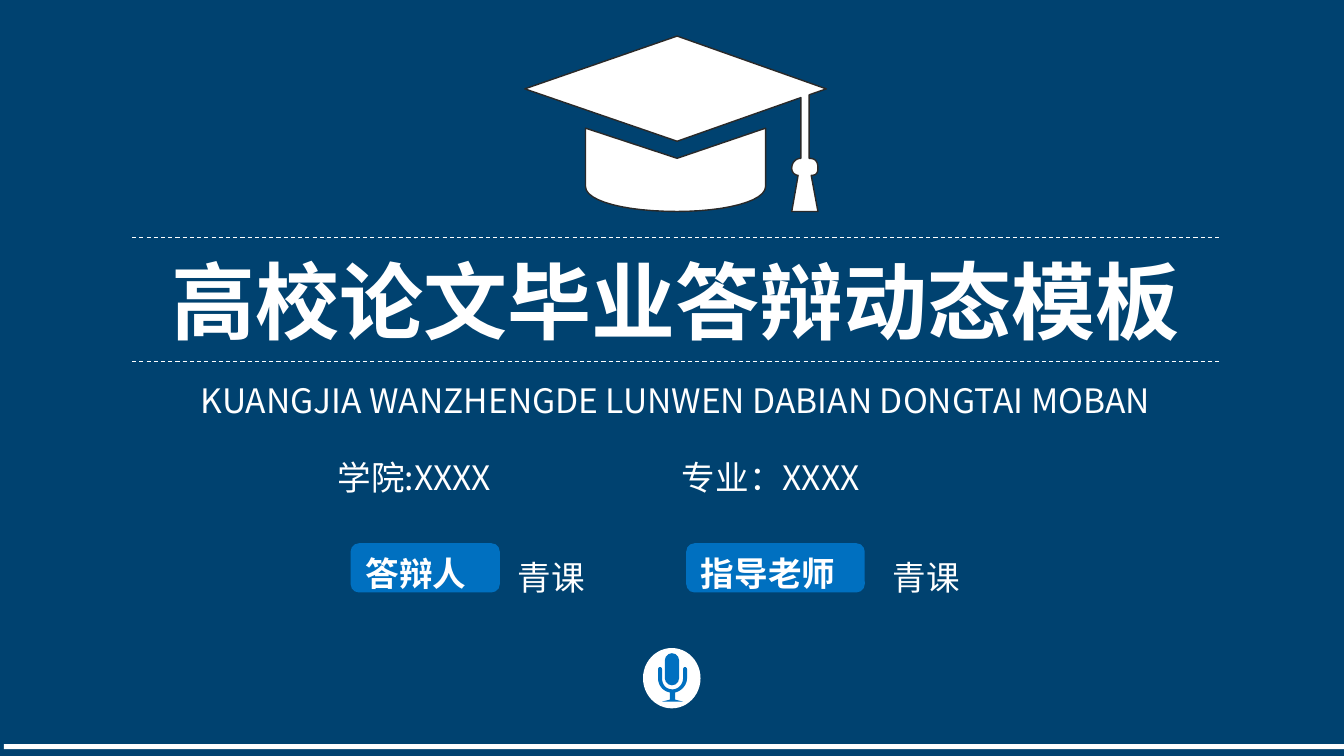
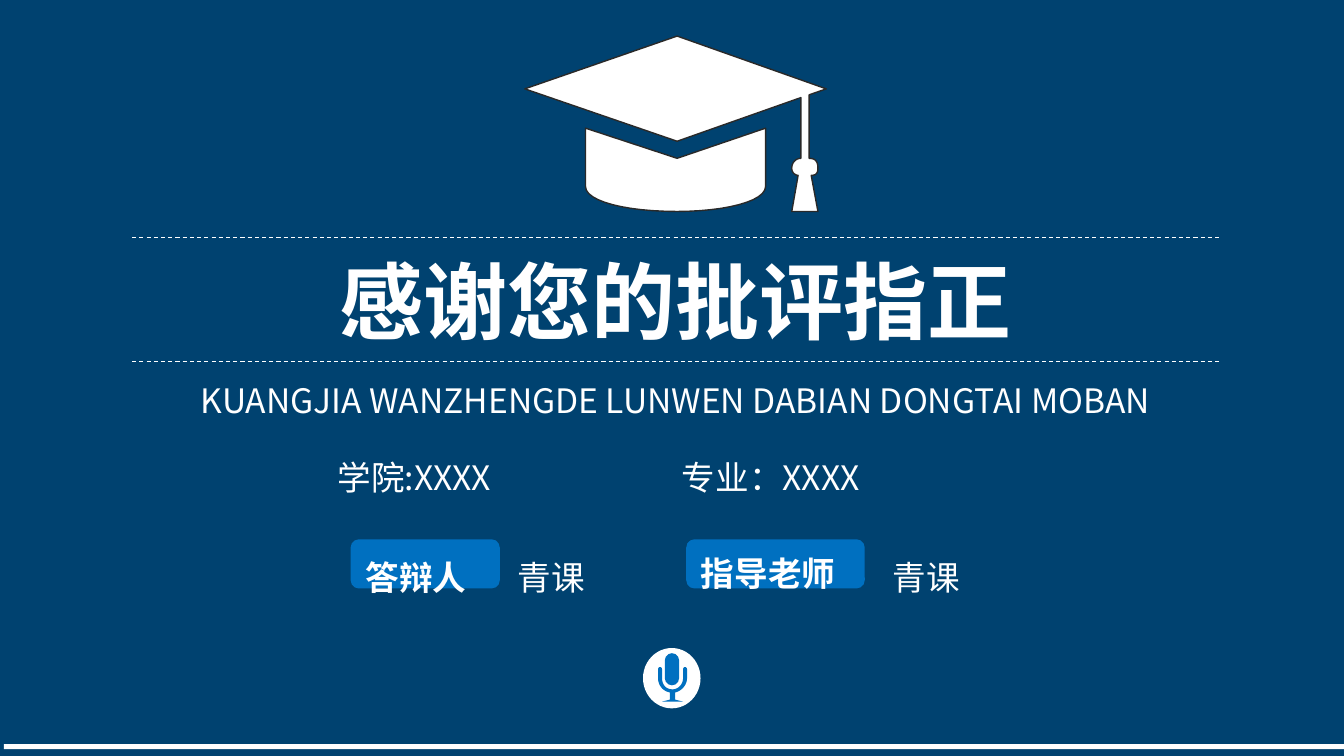
"""Build the cover and closing slides of a thesis defence deck."""
import dataclasses

import pptx
import pptx.dml.color
import pptx.enum.dml
import pptx.enum.shapes
import pptx.enum.text
import pptx.oxml
import pptx.oxml.ns
import pptx.util
from pptx.util import Cm

SHAPE = pptx.enum.shapes.MSO_SHAPE
ALIGN = pptx.enum.text.PP_ALIGN
ANCHOR = pptx.enum.text.MSO_ANCHOR


@dataclasses.dataclass(frozen=True)
class Theme:
    """Colours, font and type sizes of the deck."""
    navy: str = "004270"
    blue: str = "0070C0"
    white: str = "FFFFFF"
    outline: str = "292929"
    font: str = "Noto Sans CJK SC"
    title: int = 60
    body: int = 24
    width: float = 33.88
    height: float = 19.05


THEME = Theme()

CAP_BOARD = [
    (20.62, 4.24), (20.62, 4.09, 20.57, 3.99, 20.4, 3.99), (20.4, 2.39),
    (20.83, 2.24), (17.07, 0.91), (13.23, 2.24), (17.07, 3.56), (20.19, 2.46),
    (20.19, 3.99), (20.07, 3.99, 19.96, 4.09, 19.96, 4.24),
    (19.96, 4.37, 20.07, 4.42, 20.12, 4.42), (19.96, 5.33), (20.62, 5.33),
    (20.45, 4.42), (20.57, 4.42, 20.62, 4.37, 20.62, 4.24),
]
CAP_BASE = [
    (14.76, 3.23), (14.76, 4.7), (14.76, 5.08, 15.8, 5.33, 17.07, 5.33),
    (18.26, 5.33, 19.3, 5.08, 19.3, 4.7), (19.3, 3.23), (17.07, 3.99),
]
MIC_STAND = [
    (17.32, 17.09), (17.32, 16.87), (17.32, 16.79, 17.22, 16.79, 17.22, 16.87),
    (17.22, 17.09), (17.22, 17.25, 17.09, 17.37, 16.97, 17.37), (16.94, 17.37),
    (16.79, 17.37, 16.69, 17.25, 16.69, 17.09), (16.69, 16.87),
    (16.69, 16.79, 16.59, 16.79, 16.59, 16.87), (16.59, 17.09),
    (16.59, 17.27, 16.71, 17.42, 16.89, 17.45), (16.89, 17.63), (16.69, 17.68),
    (17.22, 17.68), (17.02, 17.63), (17.02, 17.45),
    (17.17, 17.42, 17.32, 17.27, 17.32, 17.09),
]


def rgb(value):
    """Return a colour object for a hex string."""
    return pptx.dml.color.RGBColor.from_string(value)


def paint(sp, fill, line=None):
    """Give a shape a flat fill and an optional thin outline."""
    sp.shadow.inherit = False
    sp.fill.solid()
    sp.fill.fore_color.rgb = rgb(fill)
    if line:
        sp.line.color.rgb = rgb(line)
        sp.line.width = pptx.util.Pt(1)
    else:
        sp.line.fill.background()


def add_block(s, kind, x, y, w, h, fill, corner=None):
    """Add a filled preset shape."""
    sp = s.shapes.add_shape(kind, Cm(x), Cm(y), Cm(w), Cm(h))
    paint(sp, fill)
    if corner is not None:
        sp.adjustments[0] = corner


def add_text(s, text, x, y, w, h, *, size=THEME.body, bold=False,
             align=ALIGN.LEFT, anchor=ANCHOR.TOP, spacing=None, grow=False):
    """Add a wrapped one-paragraph text box."""
    tf = s.shapes.add_textbox(Cm(x), Cm(y), Cm(w), Cm(h)).text_frame
    tf.word_wrap = True
    tf.vertical_anchor = anchor
    if grow:
        tf.auto_size = pptx.enum.text.MSO_AUTO_SIZE.SHAPE_TO_FIT_TEXT
    p = tf.paragraphs[0]
    p.alignment = align
    p.line_spacing = spacing
    r = p.add_run()
    r.text = text
    r.font.size = pptx.util.Pt(size)
    r.font.bold = bold
    r.font.color.rgb = rgb(THEME.white)
    r.font.name = THEME.font
    ea = pptx.oxml.parse_xml(
        f'<a:ea {pptx.oxml.ns.nsdecls("a")} typeface="{THEME.font}"/>')
    r.font._element.append(ea)


def add_heading(s, text, y, h, **style):
    """Add a centred line of text across the slide."""
    add_text(s, text, 2.13, y, 29.79, h, align=ALIGN.CENTER,
             anchor=ANCHOR.MIDDLE, **style)


def add_detail(s, text, x, y, w, h=1.63, **style):
    """Add a detail field with open line spacing."""
    add_text(s, text, x, y, w, h, spacing=1.5, grow=True, **style)


def add_dashed_rule(s, y):
    """Add a dashed horizontal rule."""
    rule = s.shapes.add_connector(pptx.enum.shapes.MSO_CONNECTOR.STRAIGHT,
                                  Cm(3.33), Cm(y), Cm(30.73), Cm(y))
    rule.line.color.rgb = rgb(THEME.white)
    rule.line.width = pptx.util.Pt(0.75)
    rule.line.dash_style = pptx.enum.dml.MSO_LINE.DASH
    rule._element.spPr.append(pptx.oxml.parse_xml(
        f'<a:effectLst {pptx.oxml.ns.nsdecls("a")}/>'))


def flatten(outline, steps=12):
    """Turn points and cubic curve segments into a list of points."""
    points = [outline[0]]
    for segment in outline[1:]:
        if len(segment) == 2:
            points.append(segment)
            continue
        x0, y0 = points[-1]
        x1, y1, x2, y2, x3, y3 = segment
        for i in range(1, steps + 1):
            t = i / steps
            a, b, c, d = (1 - t) ** 3, 3 * t * (1 - t) ** 2, 3 * t * t * (1 - t), t ** 3
            points.append((a * x0 + b * x1 + c * x2 + d * x3,
                           a * y0 + b * y1 + c * y2 + d * y3))
    return [(Cm(x), Cm(y)) for x, y in points]


def add_outline(s, outlines, fill, line=None):
    """Add one freeform made of closed outlines."""
    first, *others = [flatten(outline) for outline in outlines]
    builder = s.shapes.build_freeform(*first[0])
    builder.add_line_segments(first[1:], close=True)
    for points in others:
        builder.move_to(*points[0])
        builder.add_line_segments(points[1:], close=True)
    paint(builder.convert_to_shape(), fill, line)


def add_microphone(s):
    """Add the round microphone badge."""
    add_block(s, SHAPE.OVAL, 16.21, 16.33, 1.45, 1.52, THEME.white)
    add_block(s, SHAPE.ROUNDED_RECTANGLE, 16.76, 16.46, 0.36, 0.81,
              THEME.blue, corner=0.5)
    add_outline(s, [MIC_STAND], THEME.blue)


def add_person(s, role, name, pill, label, name_x, name_w):
    """Add a role on a pill and the name beside it."""
    pill_x, pill_y, pill_w = pill
    add_block(s, SHAPE.ROUNDED_RECTANGLE, pill_x, pill_y, pill_w, 1.24,
              THEME.blue, corner=0.167)
    add_detail(s, role, *label, bold=True, align=ALIGN.JUSTIFY)
    add_detail(s, name, name_x, 13.41, name_w)


def add_cover(prs, title, pill_y, presenter_y):
    """Add a slide with cap, title, details and badge."""
    s = prs.slides.add_slide(prs.slide_layouts[6])
    add_outline(s, [CAP_BOARD, CAP_BASE], THEME.white, THEME.outline)
    for y in (5.99, 9.12):
        add_dashed_rule(s, y)
    add_heading(s, title, 6.43, 2.26, size=THEME.title, bold=True)
    add_heading(s, "KUANGJIA WANZHENGDE LUNWEN DABIAN DONGTAI MOBAN", 9.63, 0.89)
    add_detail(s, "学院:XXXX", 8.26, 10.87, 7.98)
    add_detail(s, "专业：XXXX", 16.94, 10.87, 8.61, 1.8)
    add_person(s, "答辩人", "青课", (8.84, pill_y, 3.76),
               (8.97, presenter_y, 3.63), 12.8, 4.11)
    add_person(s, "指导老师", "青课", (17.3, pill_y, 4.5),
               (17.42, 13.31, 4.19, 1.8), 22.25, 4.7)
    add_microphone(s)
    add_block(s, SHAPE.RECTANGLE, 0.1, 18.75, THEME.width - 0.1, 0.13, THEME.white)


def main():
    """Build and save the deck."""
    prs = pptx.Presentation()
    prs.slide_width, prs.slide_height = Cm(THEME.width), Cm(THEME.height)
    fill = prs.slide_master.background.fill
    fill.solid()
    fill.fore_color.rgb = rgb(THEME.navy)
    add_cover(prs, "高校论文毕业答辩动态模板", pill_y=13.69, presenter_y=13.31)
    add_cover(prs, "感谢您的批评指正", pill_y=13.59, presenter_y=13.41)
    prs.save("out.pptx")


if __name__ == "__main__":
    main()
